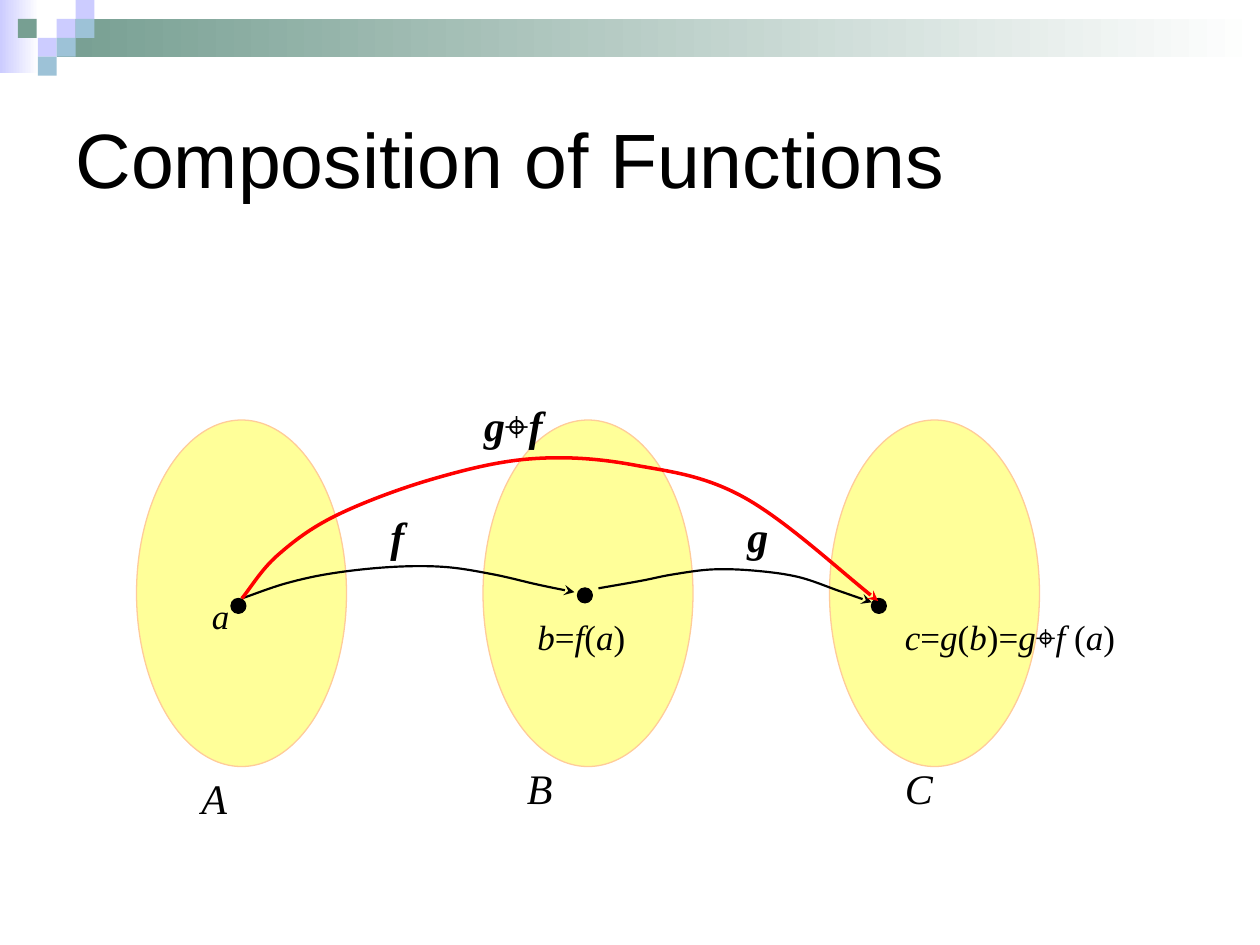
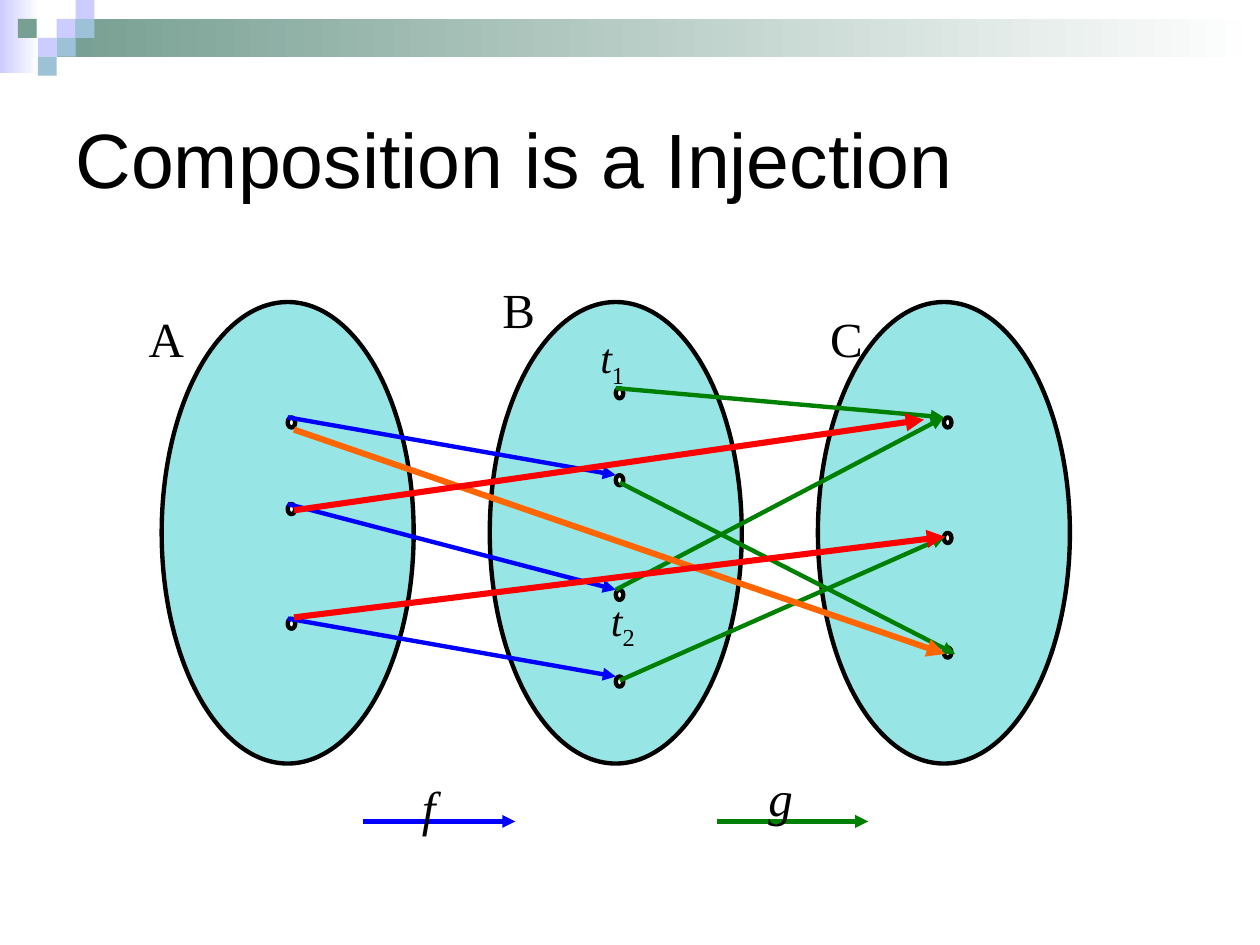
import itertools
from dataclasses import dataclass

import lxml.etree
import pptx
import pptx.dml.color
import pptx.enum.shapes
import pptx.enum.text
import pptx.oxml
import pptx.oxml.ns
import pptx.util

Pt = pptx.util.Pt
qn = pptx.oxml.ns.qn
SHAPE = pptx.enum.shapes.MSO_SHAPE

BLACK, WHITE = "000000", "FFFFFF"
RED, ORANGE, BLUE, GREEN = "FF0000", "FF6600", "0000FF", "008000"
LILAC, SAGE, SKY = "CCCCFF", "779F92", "9DC2D7"
YELLOW, PEACH, TEAL = "FFFF99", "FFCC99", "33CCCC"
TITLE_FONT, MATH_FONT, SYMBOL_FONT = "Arial", "Times New Roman", "Lato"
COMPOSE = "⌖"


@dataclass(frozen=True)
class Box:
    x: float
    y: float
    w: float
    h: float

    def lengths(self):
        return [Pt(v) for v in (self.x, self.y, self.w, self.h)]


@dataclass(frozen=True)
class Label:
    text: str
    box: Box
    size: float = 24
    bold: bool = False
    italic: bool = True


@dataclass(frozen=True)
class Arrow:
    start: tuple[float, float]
    end: tuple[float, float]
    color: str
    width: float = 2.5


@dataclass(frozen=True)
class Curve:
    """A smooth arrow through the given knots."""
    knots: list[tuple[float, float]]
    color: str = BLACK
    width: float = 1.25


TILES = [
    (32.4, 10.8, LILAC), (43.2, 0, LILAC), (43.2, 10.8, SKY), (21.6, 21.6, LILAC),
    (10.2, 10.8, SAGE), (32.4, 21.6, SKY), (21.6, 32.4, SKY),
]

MAPPING_LABELS = [
    Label("A", Box(108, 438, 36, 36)),
    Label("B", Box(294, 432, 90, 36)),
    Label("C", Box(510, 432, 54, 36)),
    Label("a", Box(114, 336, 30, 31.5), 20),
    Label("b=f(a)", Box(300, 348, 108, 31.5), 20),
    Label(f"c=g(b)=g{COMPOSE}f (a)", Box(510, 348, 138, 31.5), 20),
    Label("f", Box(216, 288, 42, 36), bold=True),
    Label("g", Box(420, 288, 42, 36), bold=True),
    Label(f"g{COMPOSE}f", Box(269.5, 224.8, 51, 36), bold=True),
]

MAPPING_CURVES = [
    Curve([(138.2, 342), (163.4, 333.4), (190.1, 327.6), (223.9, 324),
           (254.2, 324), (282.2, 328.3), (307.4, 334.1), (328.3, 338.4)]),
    Curve([(342, 336.2), (366.5, 331.9), (384.5, 328.3), (407.5, 325.4),
           (432, 326.2), (456.5, 329.8), (479.5, 337.7), (498.2, 344.2)]),
    Curve([(138.2, 342), (158.4, 317.5), (192.2, 294.5), (247.7, 273.6),
           (304.6, 262.1), (362.2, 265.7), (425.5, 284.4), (501.8, 343.4)], RED, 2),
]

# Dots of the sets A, B and C: one column each, listed from the top.
COLUMN_X = [164.4, 351.9, 539.4]
DOT_YS = [
    [238.5, 288, 353.5],
    [221.8, 271.5, 337, 386.6],
    [238.5, 304.5, 370],
]
F_PAIRS = [(0, 1), (1, 2), (2, 3)]
G_PAIRS = [(0, 0), (2, 0)]

INJECTION_ARROWS = [
    Arrow((207.4, 469.4), (294.5, 469.4), BLUE),
    Arrow((409.7, 469.4), (496.1, 469.4), GREEN),
    *[Arrow((COLUMN_X[0], DOT_YS[0][i]), (COLUMN_X[1], DOT_YS[1][j]), BLUE)
      for i, j in F_PAIRS],
    *[Arrow((COLUMN_X[1], DOT_YS[1][i]), (COLUMN_X[2], DOT_YS[2][j]), GREEN)
      for i, j in G_PAIRS],
    Arrow((354.2, 275.8), (545.8, 373.7), GREEN),
    Arrow((354.2, 388.8), (540, 306.7), GREEN),
    Arrow((168, 245.5), (540, 373.7), ORANGE, 3.5),
    Arrow((168, 291.6), (528, 239.8), RED, 3.5),
    Arrow((168, 352.8), (540, 306.7), RED, 3.5),
]

INJECTION_LABELS = [
    Label("f", Box(234, 440.6, 43.2, 49.7), 28),
    Label("g", Box(432, 434.9, 43.2, 49.7), 28),
    Label("A", Box(77.8, 172.8, 43.2, 49.7), 28, italic=False),
    Label("B", Box(280, 156.2, 57.6, 49.7), 28, italic=False),
    Label("C", Box(467.3, 172.8, 57.6, 49.7), 28, italic=False),
    Label("t1", Box(336, 186, 66, 40.3)),
    Label("t2", Box(342, 336, 66, 40.3)),
]


def rgb(color: str):
    return pptx.dml.color.RGBColor.from_string(color)


def write(p, text: str, *, size: float, font: str = MATH_FONT, bold: bool = False,
          italic: bool = False, subscript: bool = False):
    r = p.add_run()
    r.text = text
    r.font.name, r.font.size = font, Pt(size)
    r.font.bold, r.font.italic = bold, italic
    r.font.color.rgb = rgb(BLACK)
    if subscript:
        r.font._element.set("baseline", "-25000")


def char_kind(char: str) -> str:
    if char == COMPOSE:
        return "compose"
    if char.isdigit():
        return "index"
    return "name" if char.isalpha() else "sign"


def add_label(slide, label: Label):
    """Set names in italics, indices as subscripts and signs upright."""
    tf = slide.shapes.add_textbox(*label.box.lengths()).text_frame
    tf.word_wrap = True
    for kind, chars in itertools.groupby(label.text, char_kind):
        write(tf.paragraphs[0], "".join(chars), size=label.size, bold=label.bold,
              font=SYMBOL_FONT if kind == "compose" else MATH_FONT,
              italic=label.italic and kind == "name", subscript=kind == "index")


def add_shape(slide, preset, box: Box, fill: str, *, line: str | None = None,
              width: float = 0.75, alpha: int | None = None, fade: bool = False):
    """Draw a preset shape; fade runs the fill to white at the right."""
    s = slide.shapes.add_shape(preset, *box.lengths())
    s.shadow.inherit = False
    if fade:
        s.fill.gradient()
        s.fill.gradient_angle = 0
        for stop, color in zip(s.fill.gradient_stops, (fill, WHITE)):
            stop.color.rgb = rgb(color)
    else:
        s.fill.solid()
        s.fill.fore_color.rgb = rgb(fill)
    if alpha is not None:
        clr = s._element.spPr.find(".//" + qn("a:srgbClr"))
        lxml.etree.SubElement(clr, qn("a:alpha")).set("val", str(alpha * 1000))
    if line:
        s.line.color.rgb = rgb(line)
        s.line.width = Pt(width)
    else:
        s.line.fill.background()


def style_arrow(s, color: str, width: float, head: str):
    s.line.color.rgb = rgb(color)
    s.line.width = Pt(width)
    ln = s.line._get_or_add_ln()
    lxml.etree.SubElement(ln, qn("a:tailEnd")).set("type", head)


def add_arrow(slide, arrow: Arrow):
    ends = [Pt(v) for v in (*arrow.start, *arrow.end)]
    s = slide.shapes.add_connector(pptx.enum.shapes.MSO_CONNECTOR.STRAIGHT, *ends)
    style_arrow(s, arrow.color, arrow.width, "triangle")
    lxml.etree.SubElement(s._element.spPr, qn("a:effectLst"))


def bezier_points(knots: list[tuple[float, float]]) -> list[tuple[float, float]]:
    """Give two control points and an end for each span between knots."""
    last = len(knots) - 1
    tangents = []
    for i in range(last + 1):
        (x0, y0), (x1, y1) = knots[max(i - 1, 0)], knots[min(i + 1, last)]
        share = 6 if 0 < i < last else 4
        tangents.append(((x1 - x0) / share, (y1 - y0) / share))
    points = []
    for i in range(last):
        (x0, y0), (x1, y1) = knots[i], knots[i + 1]
        (u0, v0), (u1, v1) = tangents[i], tangents[i + 1]
        points += [(x0 + u0, y0 + v0), (x1 - u1, y1 - v1), (x1, y1)]
    return points


def add_curve(slide, curve: Curve):
    x, y = curve.knots[0]
    builder = slide.shapes.build_freeform(Pt(x), Pt(y))
    points = [(Pt(px), Pt(py)) for px, py in bezier_points(curve.knots)]
    builder.add_line_segments(points, close=False)
    s = builder.convert_to_shape()
    s.shadow.inherit = False
    s.fill.background()
    style_arrow(s, curve.color, curve.width, "stealth")
    path = s._element.find(".//" + qn("a:path"))
    segments = path.findall(qn("a:lnTo"))
    for i in range(0, len(segments), 3):
        cubic = lxml.etree.SubElement(path, qn("a:cubicBezTo"))
        for segment in segments[i:i + 3]:
            cubic.append(segment[0])
            path.remove(segment)


def add_titled_slide(prs, title: str):
    slide = prs.slides.add_slide(prs.slide_layouts[5])
    add_shape(slide, SHAPE.RECTANGLE, Box(0, 0, 22.3, 41.8), LILAC, fade=True)
    add_shape(slide, SHAPE.RECTANGLE, Box(32.4, 10.8, 687.6, 21.6), SAGE, fade=True)
    for x, y, color in TILES:
        add_shape(slide, SHAPE.RECTANGLE, Box(x, y, 10.8, 10.8), color)
    s = slide.shapes.title
    s.left, s.top, s.width, s.height = Box(36, 36, 648, 108).lengths()
    tf = s.text_frame
    tf.vertical_anchor = pptx.enum.text.MSO_ANCHOR.MIDDLE
    p = tf.paragraphs[0]
    p.alignment = pptx.enum.text.PP_ALIGN.LEFT
    write(p, title, size=44, font=TITLE_FONT)
    return slide


def build_mapping_slide(prs):
    slide = add_titled_slide(prs, "Composition of Functions")
    for i in range(3):
        add_shape(slide, SHAPE.OVAL, Box(78 + 198 * i, 240, 120, 198), YELLOW, line=PEACH)
    for x, y in [(132, 342), (330, 336), (498, 342)]:
        add_shape(slide, SHAPE.OVAL, Box(x, y, 8.5, 8.5), BLACK, line=BLACK)
    for curve in MAPPING_CURVES:
        add_curve(slide, curve)
    for label in MAPPING_LABELS:
        add_label(slide, label)


def build_injection_slide(prs):
    slide = add_titled_slide(prs, "Composition is a Injection")
    for x in COLUMN_X:
        add_shape(slide, SHAPE.OVAL, Box(x - 72, 172.6, 144, 263.7), TEAL,
                  line=BLACK, width=2.5, alpha=50)
    for x, ys in zip(COLUMN_X, DOT_YS):
        for y in ys:
            add_shape(slide, SHAPE.OVAL, Box(x, y, 4.3, 5.8), WHITE, line=BLACK, width=2.5)
    for arrow in INJECTION_ARROWS:
        add_arrow(slide, arrow)
    for label in INJECTION_LABELS:
        add_label(slide, label)


def main():
    prs = pptx.Presentation()
    prs.slide_width, prs.slide_height = Pt(720), Pt(540)
    build_mapping_slide(prs)
    build_injection_slide(prs)
    prs.save("out.pptx")


if __name__ == "__main__":
    main()
